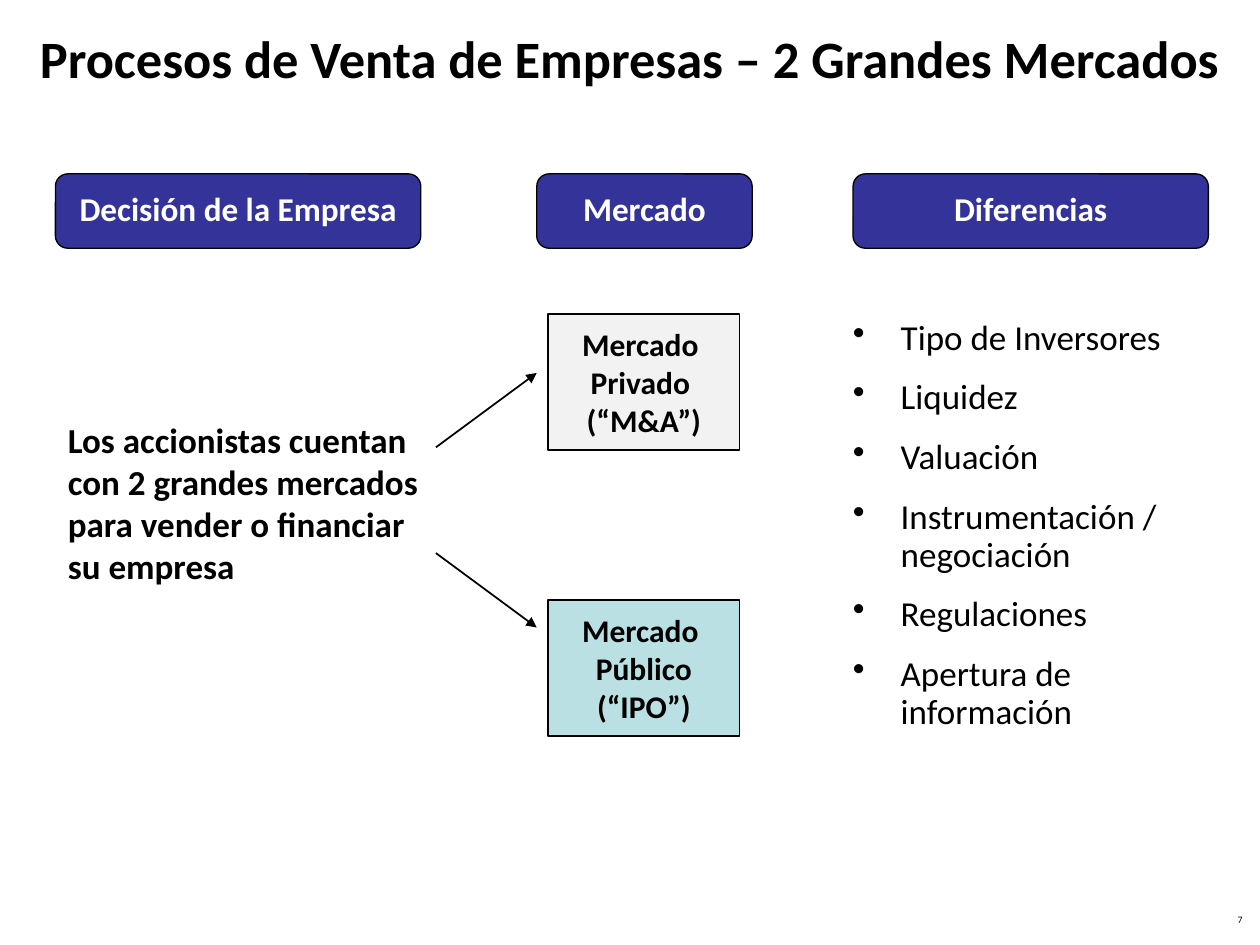
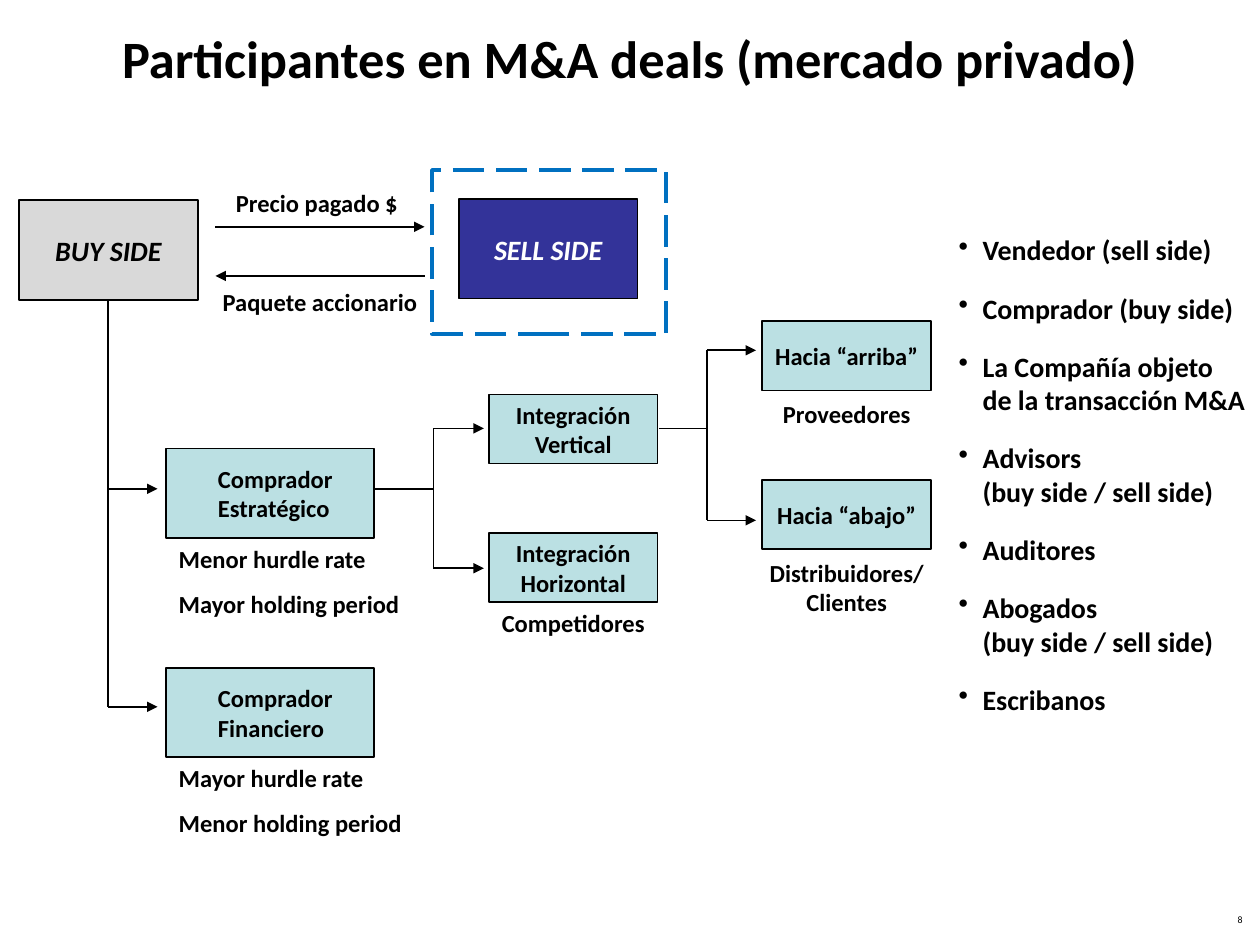
from lxml import etree
from pptx import Presentation
from pptx.dml.color import RGBColor
from pptx.enum.dml import MSO_LINE
from pptx.enum.shapes import MSO_CONNECTOR, MSO_SHAPE
from pptx.enum.text import MSO_ANCHOR, PP_ALIGN
from pptx.oxml.ns import qn
from pptx.util import Emu, Inches, Pt

RECT, ROUNDED = MSO_SHAPE.RECTANGLE, MSO_SHAPE.ROUNDED_RECTANGLE
STRAIGHT = MSO_CONNECTOR.STRAIGHT
LONG_DASH = MSO_LINE.LONG_DASH
LEFT, CENTER, RIGHT = PP_ALIGN.LEFT, PP_ALIGN.CENTER, PP_ALIGN.RIGHT
TOP, MIDDLE = MSO_ANCHOR.TOP, MSO_ANCHOR.MIDDLE

FONT = "Calibri"
COLORS = {
    "ink": "000000",
    "white": "FFFFFF",
    "navy": "333399",
    "aqua": "BBE0E3",
    "pale": "F2F2F2",
    "gray": "D9D9D9",
    "dash": "0070C0",
}

# The slide is a grid of 100 columns by 75 square cells
COLUMNS, ROWS = 100, 75
CELL = Inches(0.1)


def color(name):
    return RGBColor.from_string(COLORS[name])


def cells(*counts):
    return [Emu(round(count * CELL)) for count in counts]


def write(shape, lines, size, ink="ink", bold=True, italic=False, align=LEFT,
          anchor=TOP, before=0, spacing=None, bullet_indent=0, wrap=True):
    """Fill a shape or text box with one paragraph per line."""
    frame = shape.text_frame
    frame.word_wrap = wrap
    frame.vertical_anchor = anchor
    for index, line in enumerate(lines):
        para = frame.paragraphs[0] if index == 0 else frame.add_paragraph()
        para.text = line
        para.alignment = align
        para.space_before = Pt(before)
        if spacing:
            para.line_spacing = spacing
        if bullet_indent:
            add_bullet(para, bullet_indent)
        font = para.font
        font.name, font.size = FONT, Pt(size)
        font.bold, font.italic = bold, italic
        font.color.rgb = color(ink)


def add_bullet(para, indent):
    properties = para._p.get_or_add_pPr()
    width = cells(indent)[0]
    properties.set("marL", str(width))
    properties.set("indent", str(-width))
    etree.SubElement(properties, qn("a:buChar")).set("char", "•")


def add_text(page, place, lines, size, **style):
    box = page.shapes.add_textbox(*cells(*place))
    write(box, lines, size, **style)


def add_box(page, place, fill=None, line="ink", width=1, preset=RECT):
    box = page.shapes.add_shape(preset, *cells(*place))
    box.shadow.inherit = False
    if fill:
        box.fill.solid()
        box.fill.fore_color.rgb = color(fill)
    else:
        box.fill.background()
    box.line.color.rgb = color(line)
    box.line.width = Pt(width)
    return box


def add_label_box(page, place, fill, lines, size, preset=RECT, width=1, **style):
    box = add_box(page, place, fill, width=width, preset=preset)
    write(box, lines, size, **{"align": CENTER, "anchor": MIDDLE, **style})
    return box


def add_line(page, start, end, arrow=False):
    line = page.shapes.add_connector(STRAIGHT, *cells(*start, *end))
    line.line.color.rgb = color("ink")
    line.line.width = Pt(1)
    properties = line._element.spPr
    if arrow:
        outline = line.line._get_or_add_ln()
        etree.SubElement(outline, qn("a:tailEnd")).set("type", "triangle")
    etree.SubElement(properties, qn("a:effectLst"))


def add_fork(page, trunk, top, branches, tip):
    """A vertical trunk with one arrow to the right per branch."""
    add_line(page, (trunk, top), (trunk, branches[-1]))
    for row in branches:
        add_line(page, (trunk, row), (tip, row), arrow=True)


def add_page(deck, title, number):
    page = deck.slides.add_slide(deck.slide_layouts[6])
    add_text(page, (0, 0, COLUMNS, 9.1), [title], 30, align=CENTER, anchor=MIDDLE)
    add_text(page, (76.3, 72.2, 23.3, 2.1), [str(number)], 5.6, bold=False,
             align=RIGHT, spacing=0.8)
    return page


def add_caption(page, place, *lines, align=CENTER):
    add_text(page, place, lines, 14, align=align, before=8.8)


def build_markets(deck):
    page = add_page(deck, "Procesos de Venta de Empresas – 2 Grandes Mercados", 7)

    # Column headings
    headings = [
        (4.4, 29, "Decisión de la Empresa"),
        (42.6, 17.1, "Mercado"),
        (67.7, 28.2, "Diferencias"),
    ]
    for left, width, heading in headings:
        add_label_box(page, (left, 13.8, width, 5.9), "navy", [heading], 19,
                      preset=ROUNDED, width=0.75, ink="white", spacing=0.9)

    # Decision and the two markets it leads to
    add_text(page, (4.4, 32.7, 31.9, 14.4),
             ["Los accionistas cuentan con 2 grandes mercados "
              "para vender o financiar su empresa"],
             20, before=12.5, spacing=Pt(24))
    markets = [
        (24.9, "pale", ["Mercado ", "Privado ", "(“M&A”)"], 35.5, 29.6),
        (47.6, "aqua", ["Mercado ", "Público", "(“IPO”)"], 43.9, 49.8),
    ]
    for top, fill, lines, start_row, end_row in markets:
        add_label_box(page, (43.5, top, 15.2, 10.8), fill, lines, 18, wrap=False)
        add_line(page, (34.6, start_row), (42.6, end_row), arrow=True)

    # Differences
    differences = ["Tipo de Inversores", "Liquidez", "Valuación",
                   "Instrumentación / negociación", "Regulaciones",
                   "Apertura de información"]
    add_text(page, (66.7, 24.9, 29.2, 35.2), differences, 20, bold=False,
             before=12.5, spacing=0.9, bullet_indent=3.8)


def build_participants(deck):
    page = add_page(deck, "Participantes en M&A deals (mercado privado)", 8)

    # Both sides of the deal and what they exchange
    sides = [(1.5, 15.9, "gray", "BUY SIDE", "ink"),
             (36.4, 15.8, "navy", "SELL SIDE", "white")]
    for left, top, fill, name, ink in sides:
        add_label_box(page, (left, top, 14.2, 7.9), fill, [name], 16,
                      ink=ink, italic=True)
    add_line(page, (17.1, 18), (33.7, 18), arrow=True)
    add_line(page, (33.7, 21.9), (17.1, 21.9), arrow=True)
    add_caption(page, (16.9, 14.4, 16.5, 3.4), "Precio pagado $")
    add_caption(page, (16.1, 22.3, 18.6, 3.4), "Paquete accionario")

    # Kinds of buyer
    buyers = [
        (35.6, "Comprador Estratégico", "Menor hurdle rate", "Mayor holding period"),
        (53, "Comprador Financiero", "Mayor hurdle rate", "Menor holding period"),
    ]
    for top, name, *traits in buyers:
        box = add_label_box(page, (13.2, top, 16.5, 7.1), "aqua", [name], 14,
                            align=LEFT)
        box.text_frame.margin_left = cells(4.1)[0]
        add_caption(page, (13.2, top + 7.1, 20.4, 6.9), *traits, align=LEFT)
    add_fork(page, 8.6, 23.8, [38.8, 56.1], 12.5)

    # Kinds of integration, then the directions of the vertical one
    steps = [
        (38.8, 31.3, "Integración Vertical"),
        (38.8, 42.3, "Integración Horizontal"),
        (60.5, 25.5, "Hacia “arriba”"),
        (60.5, 38.1, "Hacia “abajo”"),
    ]
    for left, top, name in steps:
        box = add_label_box(page, (left, top, 13.4, 5.5), "aqua", [name], 14)
        box.text_frame.margin_top = box.text_frame.margin_bottom = 0
    add_line(page, (29.7, 38.8), (34.4, 38.8))
    add_fork(page, 34.4, 34, [34, 45.1], 38.4)
    add_line(page, (52.3, 34), (56.1, 34))
    add_fork(page, 56.1, 27.8, [27.8, 41.3], 60)
    add_caption(page, (38.8, 47.8, 13.4, 3.4), "Competidores")
    add_caption(page, (60.5, 31.2, 13.4, 3.4), "Proveedores")
    add_caption(page, (59.7, 43.8, 15, 5.7), "Distribuidores/ Clientes")

    # Participants
    participants = ["Vendedor (sell side)", "Comprador (buy side)",
                    "La Compañía objeto de la transacción M&A",
                    "Advisors\v(buy side / sell side)", "Auditores",
                    "Abogados\v(buy side / sell side)", "Escribanos"]
    add_text(page, (75.1, 18, 24.9, 46.3), participants, 16, before=14,
             bullet_indent=1.9)

    # Frame around the seller
    frame = add_box(page, (34.3, 13.5, 18.6, 13), line="dash", width=2.25)
    frame.line.dash_style = LONG_DASH


def main():
    deck = Presentation()
    deck.slide_width, deck.slide_height = cells(COLUMNS, ROWS)
    build_markets(deck)
    build_participants(deck)
    deck.save("out.pptx")


if __name__ == "__main__":
    main()
